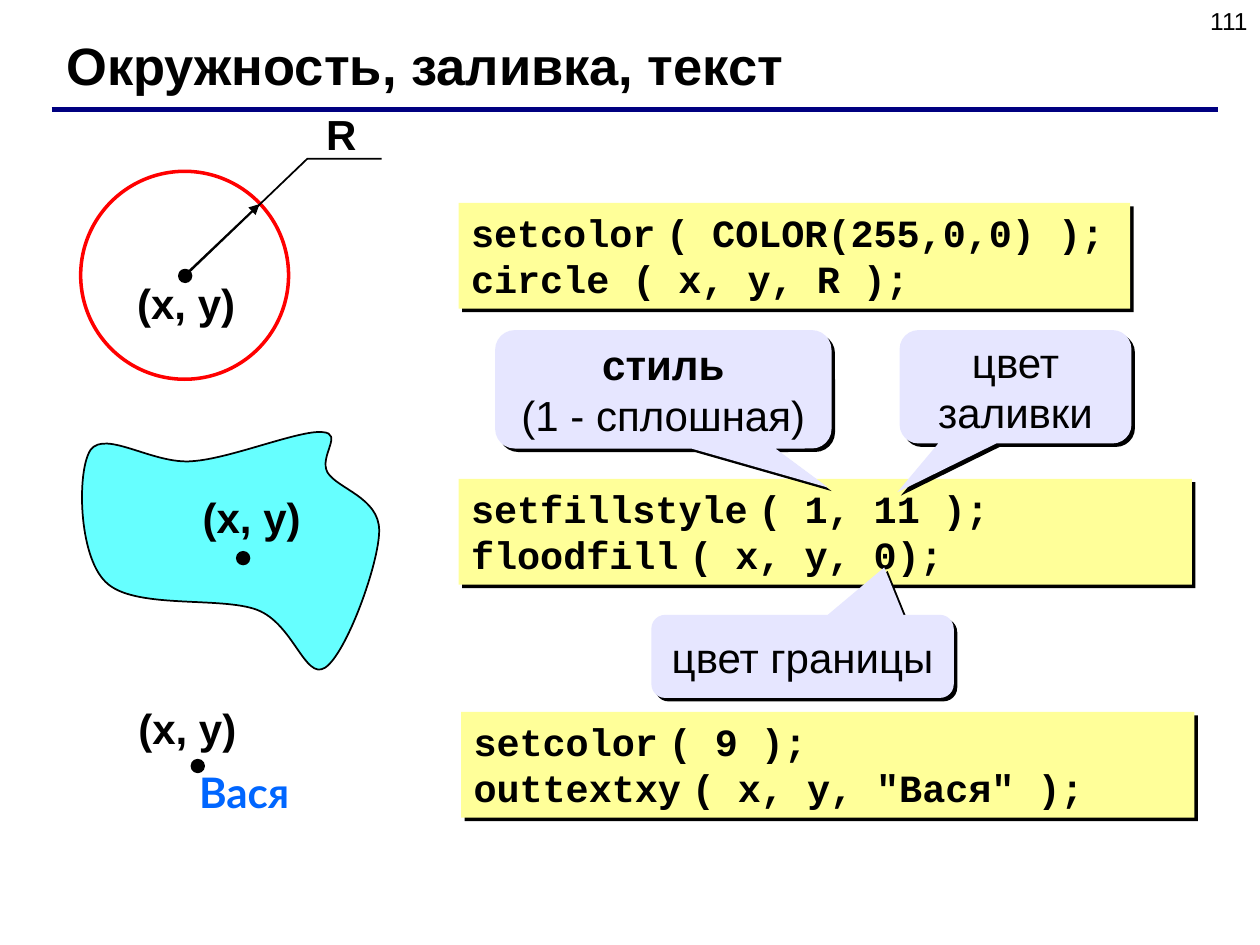
from lxml import etree
from pptx import Presentation
from pptx import util as u
from pptx.dml.color import RGBColor
from pptx.enum import shapes, text
from pptx.oxml.ns import qn

COLORS = {
    "ink": "000000", "rule": "000080", "code": "FFFF99", "callout": "E6E6FF",
    "blob": "66FFFF", "circle": "FF0000", "name": "0066FF",
}
DOT = 0.1


class SlideBuilder:
    def __init__(self, slide, font="Arial", code_font="Courier New"):
        self.slide = slide
        self.font = font
        self.code_font = code_font

    def color(self, name):
        return RGBColor.from_string(COLORS[name])

    def style_font(self, font, size, bold=False, color="ink", face=None):
        font.name = face or self.font
        font.size = u.Pt(size)
        font.bold = bold
        font.color.rgb = self.color(color)

    def paint(self, shape, fill=None, line=None, width=1):
        shape.shadow.inherit = False
        if fill:
            shape.fill.solid()
            shape.fill.fore_color.rgb = self.color(fill)
        else:
            shape.fill.background()
        if line:
            shape.line.color.rgb = self.color(line)
            shape.line.width = u.Pt(width)
        else:
            shape.line.fill.background()

    def drop_shadow(self, shape):
        effects = shape._element.spPr.find(qn("a:effectLst"))
        shadow = etree.SubElement(effects, qn("a:outerShdw"), blurRad="0",
                                  dist=str(u.Pt(2.8)), dir="2700000",
                                  algn="ctr", rotWithShape="0")
        etree.SubElement(shadow, qn("a:srgbClr"), val=COLORS["ink"])

    def label(self, wording, left, top, width, height, size=24, bold=True,
              color="ink", face=None, align=text.PP_ALIGN.LEFT, inset=True):
        box = self.slide.shapes.add_textbox(*map(u.Inches, (left, top, width, height)))
        frame = box.text_frame
        frame.word_wrap = True
        if not inset:
            frame.margin_left = frame.margin_right = 0
            frame.margin_top = frame.margin_bottom = 0
        paragraph = frame.paragraphs[0]
        paragraph.text = wording
        paragraph.alignment = align
        self.style_font(paragraph.font, size, bold, color, face)

    def preset(self, kind, left, top, width, height, fill=None, line=None, weight=1):
        shape = self.slide.shapes.add_shape(
            kind, *map(u.Inches, (left, top, width, height)))
        self.paint(shape, fill, line, weight)
        return shape

    def dot(self, left, top):
        self.preset(shapes.MSO_SHAPE.OVAL, left, top, DOT, DOT, "ink", "ink")

    def code(self, statements, left, top, width, height=0.84):
        panel = self.preset(shapes.MSO_SHAPE.RECTANGLE, left, top, width, height, "code")
        self.drop_shadow(panel)
        frame = panel.text_frame
        frame.word_wrap = True
        frame.vertical_anchor = text.MSO_ANCHOR.TOP
        for index, (command, arguments) in enumerate(statements):
            paragraph = frame.add_paragraph() if index else frame.paragraphs[0]
            paragraph.alignment = text.PP_ALIGN.LEFT
            self.style_font(paragraph.font, 22, True, face=self.code_font)
            paragraph.add_run().text = command
            if arguments:
                gap = paragraph.add_run()
                gap.text = " "
                gap.font.name = self.font
                paragraph.add_run().text = arguments

    def callout(self, lines, left, top, width, height, tip):
        bubble = self.preset(shapes.MSO_SHAPE.ROUNDED_RECTANGULAR_CALLOUT,
                             left, top, width, height, "callout")
        bubble.adjustments[0], bubble.adjustments[1] = tip
        self.drop_shadow(bubble)
        frame = bubble.text_frame
        frame.word_wrap = True
        frame.vertical_anchor = text.MSO_ANCHOR.MIDDLE
        for index, (wording, bold) in enumerate(lines):
            paragraph = frame.add_paragraph() if index else frame.paragraphs[0]
            paragraph.text = wording
            paragraph.alignment = text.PP_ALIGN.CENTER
            self.style_font(paragraph.font, 24, bold)

    def outline(self, points, fill=None, closed=False):
        start, *rest = [(u.Inches(x), u.Inches(y)) for x, y in points]
        builder = self.slide.shapes.build_freeform(*start)
        builder.add_line_segments(rest, close=closed)
        shape = builder.convert_to_shape()
        self.paint(shape, fill, "ink")
        return shape

    def curve(self, points, fill):
        shape = self.outline(points, fill, closed=True)
        segments = list(shape._element.iter(qn("a:lnTo")))
        for first, second, third in zip(*[iter(segments)] * 3):
            first.tag = qn("a:cubicBezTo")
            for segment in (second, third):
                first.append(segment[0])
                segment.getparent().remove(segment)

    def line(self, start, end, color="ink", width=1, arrow=False):
        connector = self.slide.shapes.add_connector(
            shapes.MSO_CONNECTOR.STRAIGHT, *map(u.Inches, start + end))
        connector.line.color.rgb = self.color(color)
        connector.line.width = u.Pt(width)
        if arrow:
            etree.SubElement(connector.line._get_or_add_ln(), qn("a:tailEnd"),
                             type="triangle", w="med", len="med")
        etree.SubElement(connector._element.spPr, qn("a:effectLst"))


def main():
    deck = Presentation()
    deck.slide_width, deck.slide_height = u.Inches(10), u.Inches(7.5)
    page = SlideBuilder(deck.slides.add_slide(deck.slide_layouts[6]))

    page.label("111", 7.67, 0, 2.33, 0.52, 14, False, align=text.PP_ALIGN.RIGHT)
    page.line((0.41, 0.87), (9.67, 0.87), "rule", 3)
    page.label("Окружность, заливка, текст", 0.43, 0.21, 8.9, 0.6, 30)

    page.code([("setcolor", "( COLOR(255,0,0) );"), ("circle ( x, y, R );", "")],
              3.64, 1.61, 5.33)
    page.code([("setfillstyle", "( 1, 11 );"), ("floodfill", "( x, y, 0);")],
              3.64, 3.8, 5.82)

    page.curve([
        (2.56, 3.43),
        (2.38, 3.41), (1.83, 3.64), (1.53, 3.66),
        (1.22, 3.69), (0.84, 3.41), (0.72, 3.57),
        (0.61, 3.73), (0.62, 4.41), (0.84, 4.62),
        (1.06, 4.84), (1.75, 4.73), (2.04, 4.84),
        (2.33, 4.95), (2.42, 5.4), (2.58, 5.3),
        (2.75, 5.19), (3.01, 4.47), (3.01, 4.21),
        (3.01, 3.95), (2.68, 3.88), (2.6, 3.75),
        (2.53, 3.62), (2.73, 3.44), (2.56, 3.43),
    ], "blob")
    page.label("(x, y)", 1.51, 3.85, 1.01, 0.5)
    page.dot(1.88, 4.38)

    page.dot(1.42, 2.14)
    page.preset(shapes.MSO_SHAPE.OVAL, 0.64, 1.36, 1.65, 1.65, line="circle", weight=2)
    page.label("(x, y)", 0.99, 2.15, 1.01, 0.5)
    page.label("R", 2.49, 0.81, 1.24, 0.5)
    page.outline([(1.47, 2.19), (2.44, 1.26), (3.03, 1.26)])
    page.line((1.47, 2.18), (2.06, 1.62), arrow=True)

    page.callout([("стиль", True), ("(1 - сплошная)", False)],
                 3.93, 2.62, 2.67, 0.94, (0.49, 0.83))
    page.callout([("цвет границы", False)], 5.17, 4.88, 2.4, 0.66, (0.27, -1.07))
    page.callout([("цвет заливки", False)], 7.14, 2.62, 1.84, 0.9, (-0.51, 0.93))

    page.label("(x, y)", 1, 5.53, 1.14, 0.5)
    page.label("Вася", 1.58, 6.08, 1.21, 0.4, color="name", face="Lato", inset=False)
    page.dot(1.52, 6.03)
    page.code([("setcolor", "( 9 );"), ("outtextxy", '( x, y, "Вася" );')],
              3.66, 5.65, 5.82)

    deck.save("out.pptx")


if __name__ == "__main__":
    main()
